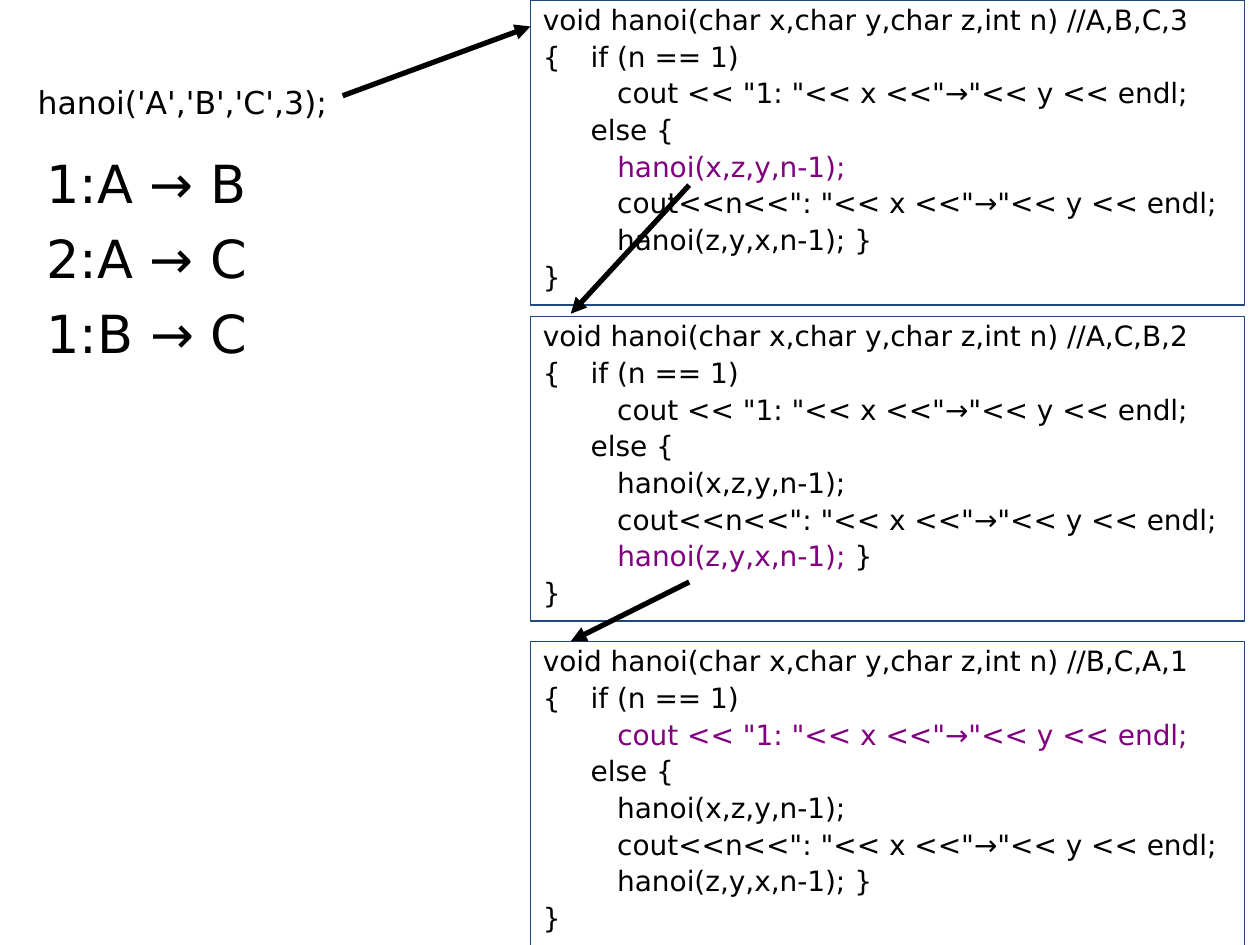
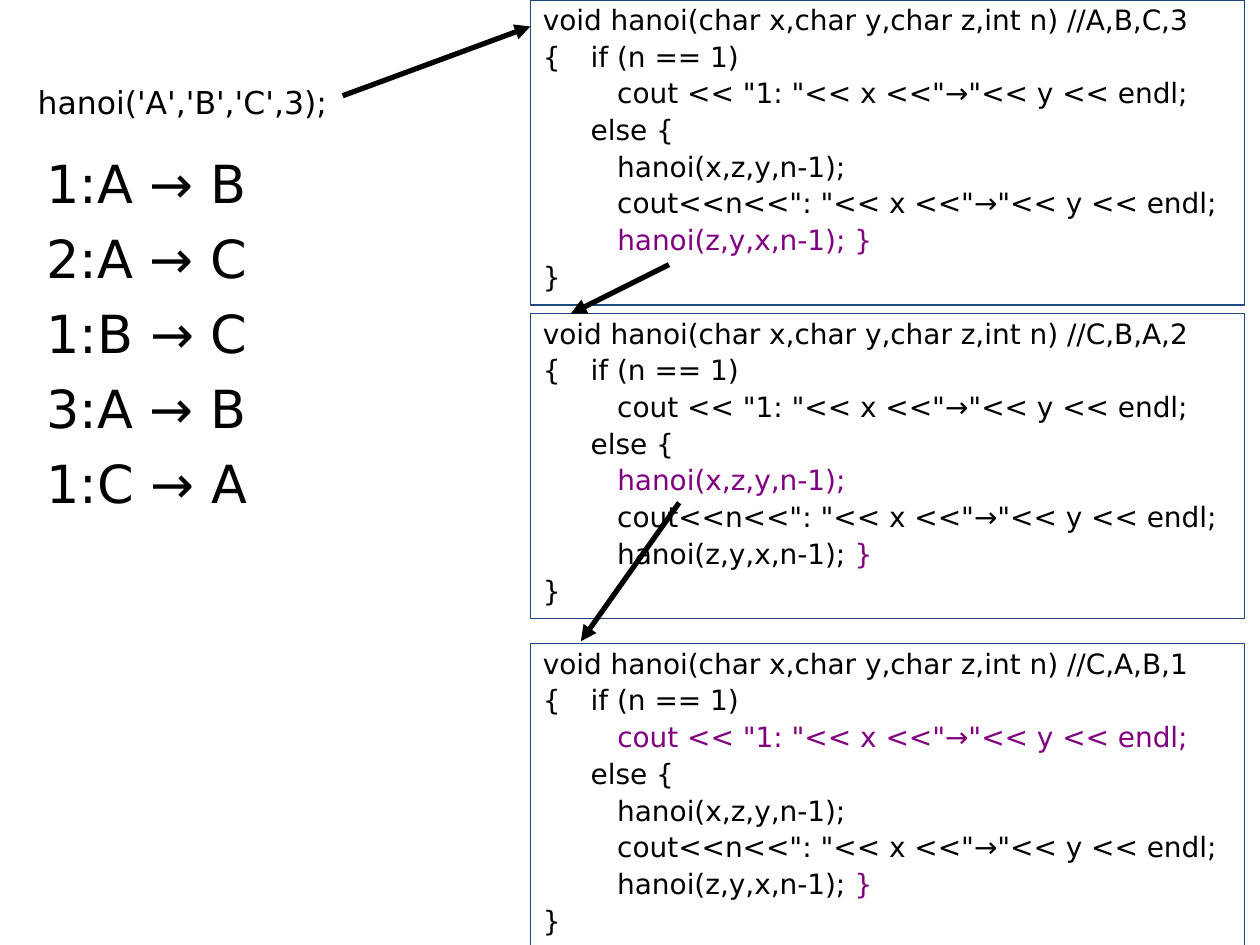
"""Builds two slides that trace the recursive calls of the Hanoi function."""
from lxml import etree
from pptx import Presentation
from pptx.dml.color import RGBColor
from pptx.enum.shapes import MSO_CONNECTOR, MSO_SHAPE
from pptx.enum.text import MSO_ANCHOR, PP_ALIGN
from pptx.oxml.ns import qn
from pptx.util import Inches, Pt

RECT, STRAIGHT = MSO_SHAPE.RECTANGLE, MSO_CONNECTOR.STRAIGHT
LEFT, TOP = PP_ALIGN.LEFT, MSO_ANCHOR.TOP
FONT, BLACK, WHITE, NAVY, PURPLE = "DejaVu Sans", "000000", "FFFFFF", "1F497D", "800080"

SIGNATURE = "void hanoi(char x,char y,char z,int n) //"
BODY = [
    "{\tif (n == 1)",
    '\t   cout << "1: "<< x <<"→"<< y << endl;',
    "\telse {",
    "\t   hanoi(x,z,y,n-1);",
    '\t   cout<<n<<": "<< x <<"→"<< y << endl;',
    "\t   hanoi(z,y,x,n-1); }",
    "}",
]
PRINT = 'cout << "1: "<< x <<"→"<< y << endl;'
FIRST, SECOND = "hanoi(x,z,y,n-1);", "hanoi(z,y,x,n-1);"
CALL = "hanoi('A','B','C',3);"
CALL_ARROW = ((2.72, 0.76), (4.21, 0.21))

SLIDES = [
    {
        "moves": ["1:A → B", "2:A → C", "1:B → C"],
        "frames": [(0, "A,B,C,3", [FIRST]),
                   (2.51, "A,C,B,2", [SECOND]),
                   (5.09, "B,C,A,1", [PRINT])],
        "arrows": [((5.47, 1.47), (4.53, 2.49)), ((5.47, 4.62), (4.53, 5.09))],
    },
    {
        "moves": ["1:A → B", "2:A → C", "1:B → C", "3:A → B", "1:C → A"],
        "frames": [(0, "A,B,C,3", [SECOND + " }"]),
                   (2.49, "C,B,A,2", [FIRST, " }"]),
                   (5.11, "C,A,B,1", [PRINT, " }"])],
        "arrows": [((5.31, 2.1), (4.53, 2.49)), ((5.39, 3.99), (4.61, 5.09))],
    },
]


def rgb(code):
    return RGBColor.from_string(code)


def write(sp, lines, size, spacing=1.0, marks=()):
    tf = sp.text_frame
    tf.word_wrap = True
    tf.vertical_anchor = TOP
    for i, line in enumerate(lines):
        p = tf.add_paragraph() if i else tf.paragraphs[0]
        p.alignment = LEFT
        p.line_spacing = spacing
        p.space_before = Pt(round(0.23 * size, 1) if i else 0)
        pPr = p._p.get_or_add_pPr()
        pPr.set("marL", str(Inches(0.38)))
        pPr.set("indent", str(-Inches(0.38)))
        mark = next((m for m in marks if m in line), None)
        before, hit, after = line.partition(mark) if mark else (line, "", "")
        for text, color in ((before, BLACK), (hit, PURPLE), (after, BLACK)):
            if text:
                r = p.add_run()
                r.text = text
                r.font.name, r.font.size = FONT, Pt(size)
                r.font.color.rgb = rgb(color)


def add_text(s, x, y, w, h, lines, size):
    sp = s.shapes.add_textbox(Inches(x), Inches(y), Inches(w), Inches(h))
    write(sp, lines, size)


def add_frame(s, y, args, marks):
    sp = s.shapes.add_shape(RECT, Inches(4.21), Inches(y), Inches(5.67), Inches(2.42))
    sp.shadow.inherit = False
    sp.fill.solid()
    sp.fill.fore_color.rgb = rgb(WHITE)
    sp.line.color.rgb = rgb(NAVY)
    sp.line.width = Pt(0.75)
    write(sp, [SIGNATURE + args] + BODY, 16, spacing=0.9, marks=marks)


def add_arrow(s, start, end):
    line = s.shapes.add_connector(STRAIGHT, *map(Inches, start + end))
    line.line.color.rgb = rgb(BLACK)
    line.line.width = Pt(3)
    etree.SubElement(line.line._get_or_add_ln(), qn("a:tailEnd"), type="triangle")
    etree.SubElement(line._element.spPr, qn("a:effectLst"))


def main():
    prs = Presentation()
    prs.slide_width, prs.slide_height = Inches(10), Inches(7.5)
    for content in SLIDES:
        s = prs.slides.add_slide(prs.slide_layouts[6])
        for frame in content["frames"]:
            add_frame(s, *frame)
        add_text(s, 0.2, 0.61, 2.58, 0.4, [CALL], 18)
        moves = content["moves"]
        add_text(s, 0.27, 1.15, 1.94, 0.6 * len(moves), moves, 30)
        for start, end in [CALL_ARROW] + content["arrows"]:
            add_arrow(s, start, end)
    prs.save("out.pptx")


if __name__ == "__main__":
    main()
